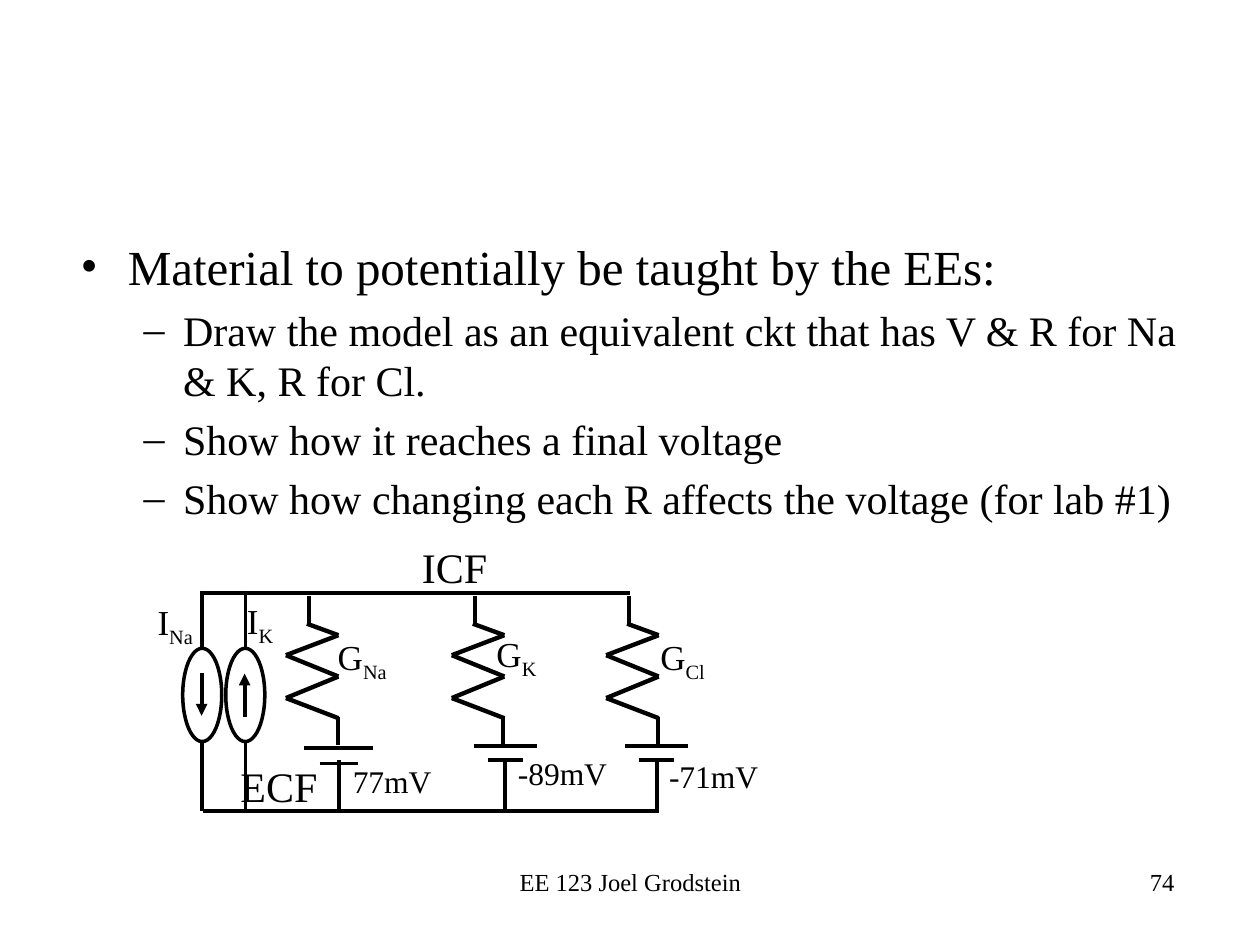
from itertools import pairwise

from lxml.etree import SubElement
from pptx import Presentation
from pptx.dml.color import RGBColor
from pptx.enum.shapes import MSO_CONNECTOR as Connector, MSO_SHAPE as Shape
from pptx.enum.text import MSO_AUTO_SIZE as AutoSize, PP_ALIGN as Align
from pptx.oxml.ns import qn
from pptx.util import Pt

FACE = "Times New Roman"
BLACK, WHITE = "000000", "FFFFFF"
WIRE, RESISTOR, SOURCE = 2.25, 2.5, 2

TOP_RAIL, BOTTOM_RAIL = 339, 463.7
RESISTOR_LEVELS = (356.4, 363, 374.4, 386.6, 398.9, 410.4)
RESISTOR_WIDTH = 30

TOPICS = [
    (0, "Material to potentially be taught by the EEs:"),
    (1, "Draw the model as an equivalent ckt that has V & R for Na & K, R for Cl."),
    (1, "Show how it reaches a final voltage"),
    (1, "Show how changing each R affects the voltage (for lab #1)"),
]
# Per outline level: bullet, size, left margin, hanging indent
OUTLINE = [("•", 28, 27, 27), ("–", 24, 58.5, 22.5)]

# Ion, resistor left, label box, battery centre, plate half-widths, plate heights,
# voltage, voltage box
BRANCHES = [
    ("Na", 163.4, (193, 363, 30, 24.5), 193.5, (19.5, 10.8), (427.7, 436.3),
     "77mV", (201.6, 435.6, 45.4, 21.6)),
    ("K", 258.2, (283.7, 361.5, 24.5, 24.5), 288.7, (18, 10), (426.2, 434.2),
     "-89mV", (295.9, 430.6, 51.8, 21.6)),
    ("Cl", 346.4, (377.3, 363, 27.4, 24.5), 375.3, (18, 10), (426.2, 434.2),
     "-71mV", (382.3, 432.7, 51.8, 21.6)),
]


def color(hex_code):
    return RGBColor.from_string(hex_code)


def style(paragraph, size, align=Align.LEFT):
    paragraph.alignment = align
    paragraph.font.name = FACE
    paragraph.font.size = Pt(size)
    paragraph.font.color.rgb = color(BLACK)


def add_line(slide, start, end, width=WIRE, arrow=False):
    line = slide.shapes.add_connector(
        Connector.STRAIGHT, *(Pt(v) for v in (*start, *end)))
    line.line.color.rgb = color(BLACK)
    line.line.width = Pt(width)
    if arrow:
        SubElement(line.line._get_or_add_ln(), qn("a:tailEnd"), type="triangle")
    SubElement(line._element.spPr, qn("a:effectLst"))


def add_text(slide, box, words, size, align=Align.LEFT):
    frame = slide.shapes.add_textbox(*(Pt(v) for v in box)).text_frame
    frame.word_wrap = True
    frame.text = words
    style(frame.paragraphs[0], size, align)
    return frame


def add_label(slide, box, symbol, size, subscript=""):
    """A tight label, with an optional subscript."""
    frame = add_text(slide, box, symbol, size)
    frame.word_wrap = False
    frame.margin_left = frame.margin_right = 0
    frame.margin_top = frame.margin_bottom = 0
    if subscript:
        ion = frame.paragraphs[0].add_run()
        ion.text = subscript
        ion._r.get_or_add_rPr().set("baseline", "-25000")


def fill_topics(body):
    body.left, body.top, body.width, body.height = (
        Pt(v) for v in (38.9, 131.8, 643, 178.6))
    frame = body.text_frame
    frame.auto_size = AutoSize.NONE
    for index, (level, words) in enumerate(TOPICS):
        topic = frame.paragraphs[0] if index == 0 else frame.add_paragraph()
        topic.text = words
        topic.level = level
        topic.space_before = Pt(4.8 if index else 0)
        bullet, size, margin, hanging = OUTLINE[level]
        props = topic._p.get_or_add_pPr()
        props.set("marL", str(Pt(margin)))
        props.set("indent", str(-Pt(hanging)))
        SubElement(props, qn("a:buFont"), typeface=FACE)
        SubElement(props, qn("a:buChar"), char=bullet)
        style(topic, size)


def add_current_source(slide, x, ion, label_box, upward=False):
    add_line(slide, (x, 337.7), (x, BOTTOM_RAIL))
    oval = slide.shapes.add_shape(
        Shape.OVAL, Pt(x - 11.3), Pt(370.5), Pt(22.3), Pt(53.3))
    oval.shadow.inherit = False
    oval.fill.solid()
    oval.fill.fore_color.rgb = color(WHITE)
    oval.line.color.rgb = color(BLACK)
    oval.line.width = Pt(SOURCE)
    tail, tip = (409.5, 385) if upward else (384.5, 409)
    add_line(slide, (x - 0.5, tail), (x - 0.5, tip), arrow=True)
    add_label(slide, label_box, "I", 20, ion)


def add_branch(slide, ion, left, label_box, centre, halves, levels, voltage, voltage_box):
    right = left + RESISTOR_WIDTH
    # Resistor and its leads
    xs = (left + 12, right, left, right, left, right)
    for start, end in pairwise(zip(xs, RESISTOR_LEVELS)):
        add_line(slide, start, end, RESISTOR)
    add_line(slide, (left + 13.3, 340.5), (left + 13.3, 356.4))
    add_line(slide, (right - 0.5, 409.7), (right - 0.5, 425.5))
    # Battery and its lead
    for half, level in zip(halves, levels):
        add_line(slide, (centre - half, level), (centre + half, level))
    add_line(slide, (centre, 434.5), (centre, BOTTOM_RAIL))
    add_label(slide, label_box, "G", 20, ion)
    add_label(slide, voltage_box, voltage, 18)


def main():
    deck = Presentation()
    deck.slide_width, deck.slide_height = Pt(720), Pt(540)
    slide = deck.slides.add_slide(deck.slide_layouts[1])
    title, body = slide.placeholders
    title._element.getparent().remove(title._element)
    fill_topics(body)

    # Circuit
    add_line(slide, (115.2, TOP_RAIL), (360, TOP_RAIL))
    add_line(slide, (115.9, BOTTOM_RAIL), (376.6, BOTTOM_RAIL))
    add_current_source(slide, 140.3, "K", (141.1, 342.7, 16.6, 24.5), upward=True)
    add_current_source(slide, 115.7, "Na", (90, 343.4, 22.3, 24.5))
    for branch in BRANCHES:
        add_branch(slide, *branch)
    add_text(slide, (130.3, 431.3, 62.6, 36), "ECF", 24)
    add_text(slide, (234, 306, 62.6, 36), "ICF", 24)

    # Footer
    add_text(slide, (246.2, 491.8, 228.2, 24.5), "EE 123 Joel Grodstein", 14, Align.CENTER)
    add_text(slide, (450, 491.8, 228.2, 36), "74", 14, Align.RIGHT)
    deck.save("out.pptx")


if __name__ == "__main__":
    main()
